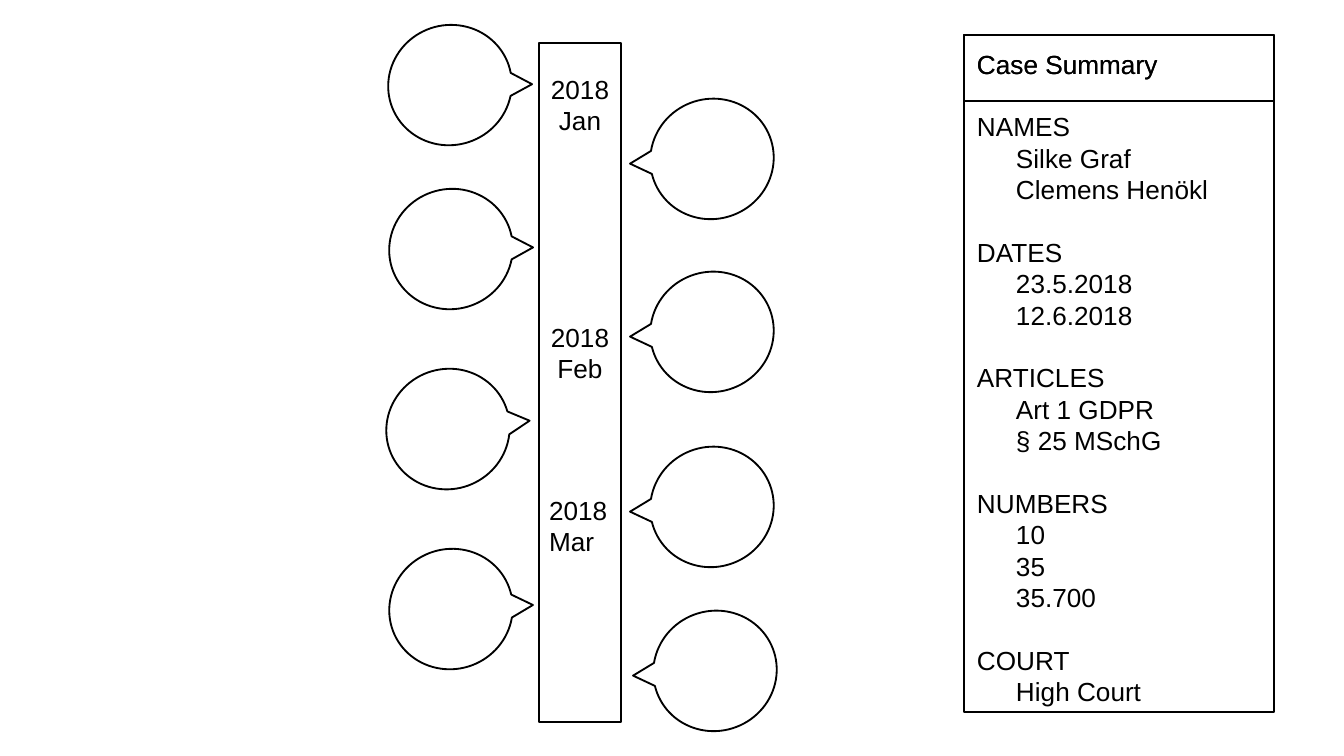
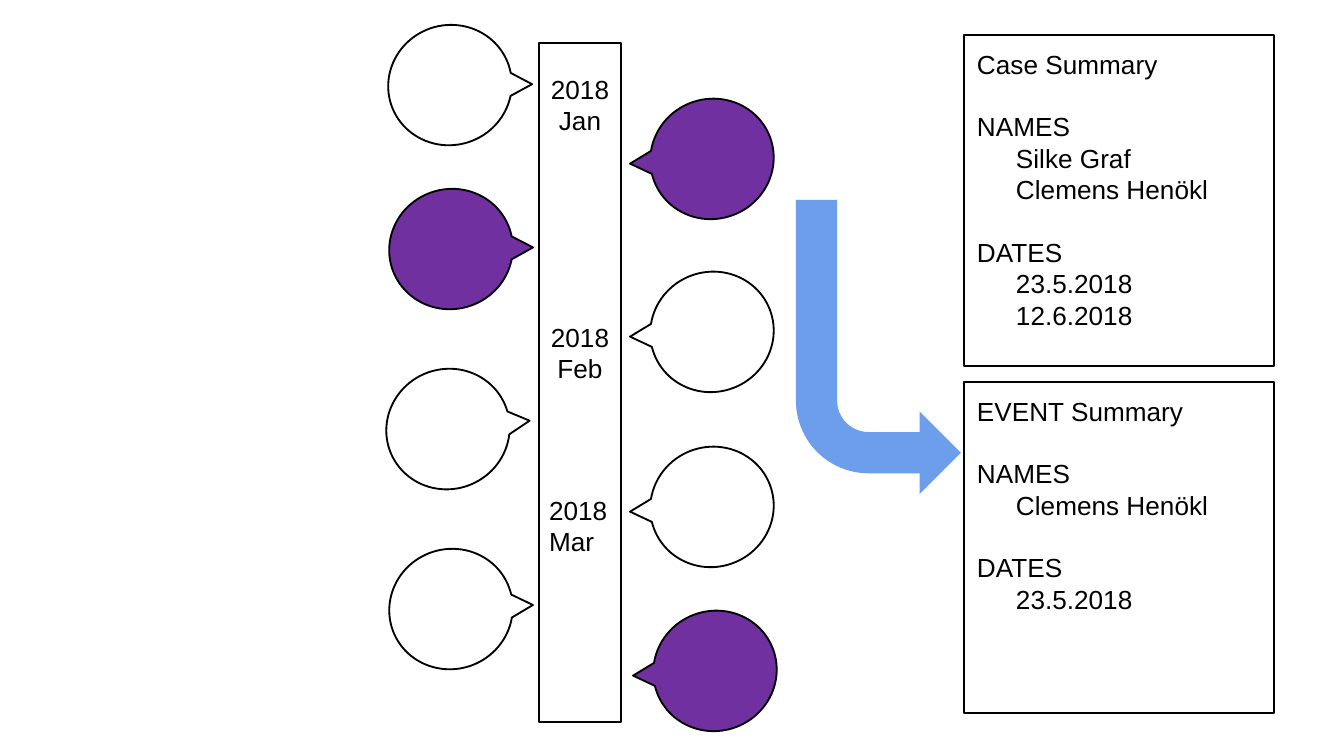
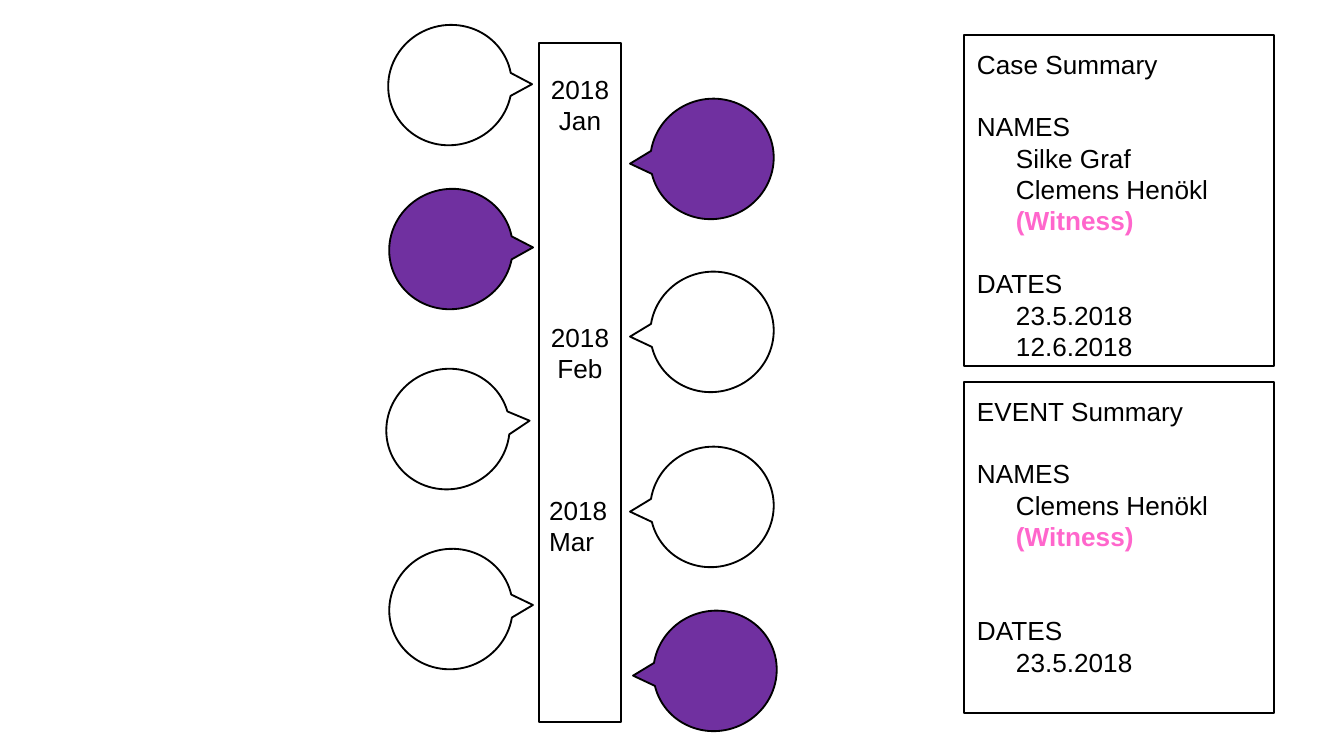
from pptx import Presentation
from pptx.dml.color import RGBColor
from pptx.enum.shapes import MSO_SHAPE
from pptx.enum.text import MSO_ANCHOR, PP_ALIGN
from pptx.util import Pt

PX = 914400 / 134.4
BLACK = RGBColor(0x00, 0x00, 0x00)
WHITE = RGBColor(0xFF, 0xFF, 0xFF)
PURPLE = RGBColor(0x70, 0x30, 0xA0)
BLUE = RGBColor(0x6D, 0x9E, 0xEB)
PINK = RGBColor(0xFF, 0x66, 0xCC)
FONT = "Arial"
TEXT_SIZE = Pt(14)
LINE_HEIGHT = 16.8
INSET, INDENT = 13, 39
CARD_LEFT, CARD_WIDTH = 964, 310
CARD_TOP, EVENT_TOP = 35, 382
HEADER_HEIGHT, HALF_HEIGHT, FULL_HEIGHT = 66, 331, 677

BUBBLES = [
    (652, 97, 68.8), (652, 270, 68.8),
    (391, 187, 251), (391, 547, 249.3), (388, 367, 246.3), (390, 23, 251.5),
    (652, 445, 68.8), (655, 609, 68.8),
]
MARKED_BUBBLES = {0, 2, 7}
MONTHS = [
    ("Mar", 536, 481, PP_ALIGN.LEFT),
    ("Feb", 535, 308, PP_ALIGN.CENTER),
    ("Jan", 535, 60, PP_ALIGN.CENTER),
]

SILKE = ("Silke Graf",)
CLEMENS = ("Clemens Henökl",)
WITNESS = ("Clemens Henökl ", "(Witness)")
DATES = [("23.5.2018",), ("12.6.2018",)]

SLIDES = [
    {
        "marked": set(), "arrow": False, "grouped": False,
        "cards": [
            ("Case Summary", CARD_TOP, HEADER_HEIGHT, []),
            ("Case Summary", CARD_TOP, FULL_HEIGHT, [
                ("NAMES", 1, [SILKE, CLEMENS]),
                ("DATES", 1, DATES),
                ("ARTICLES", 1, [("Art 1 GDPR",), ("§ 25 MSchG",)]),
                ("NUMBERS", 1, [("10",), ("35",), ("35.700",)]),
                ("COURT", 1, [("High Court",)]),
            ]),
        ],
    },
    {
        "marked": MARKED_BUBBLES, "arrow": True, "grouped": False,
        "cards": [
            ("Case Summary", CARD_TOP, HALF_HEIGHT, [
                ("NAMES", 1, [SILKE, CLEMENS]), ("DATES", 1, DATES)]),
            ("EVENT Summary", EVENT_TOP, HALF_HEIGHT, [
                ("NAMES", 1, [CLEMENS]), ("DATES", 1, DATES[:1])]),
        ],
    },
    {
        "marked": MARKED_BUBBLES, "arrow": False, "grouped": True,
        "cards": [
            ("Case Summary", CARD_TOP, HALF_HEIGHT, [
                ("NAMES", 1, [SILKE, WITNESS]), ("DATES", 1, DATES)]),
            ("EVENT Summary", EVENT_TOP, HALF_HEIGHT, [
                ("NAMES", 1, [WITNESS]), ("DATES", 2, DATES[:1])]),
        ],
    },
]


def add_figure(shapes, kind, box, fill, line_width):
    shape = shapes.add_shape(kind, *[round(length * PX) for length in box])
    shape.shadow.inherit = False
    if fill is None:
        shape.fill.background()
    else:
        shape.fill.solid()
        shape.fill.fore_color.rgb = fill
    if line_width is None:
        shape.line.fill.background()
    else:
        shape.line.color.rgb = BLACK
        shape.line.width = Pt(line_width)
    return shape


def format_text(text_frame, alignment):
    text_frame.word_wrap = True
    text_frame.vertical_anchor = MSO_ANCHOR.TOP
    text_frame.margin_left = text_frame.margin_right = round(INSET * PX)
    text_frame.margin_top = text_frame.margin_bottom = round(INSET * PX)
    for paragraph in text_frame.paragraphs:
        paragraph.alignment = alignment
        for run in paragraph.runs:
            run.font.name = FONT
            run.font.size = TEXT_SIZE
            run.font.color.rgb = BLACK


presentation = Presentation()
presentation.slide_width = round(1344 * PX)
presentation.slide_height = round(756 * PX)

for content in SLIDES:
    slide = presentation.slides.add_slide(presentation.slide_layouts[6])

    if content["arrow"]:
        arrow = add_figure(slide.shapes, MSO_SHAPE.BENT_ARROW, (796, 200, 165, 294), BLUE, None)
        for index, value in enumerate((0.25, 0.25, 0.25, 0.44)):
            arrow.adjustments[index] = value
        arrow.element.spPr.get_or_add_xfrm().set("flipV", "1")

    shapes = slide.shapes.add_group_shape().shapes if content["grouped"] else slide.shapes
    add_figure(shapes, MSO_SHAPE.RECTANGLE, (539, 43, 82, 679), WHITE, 1)

    for index, (left, top, rotation) in enumerate(BUBBLES):
        fill = PURPLE if index in content["marked"] else WHITE
        bubble = add_figure(shapes, MSO_SHAPE.OVAL_CALLOUT, (left, top, 120, 124), fill, 1)
        bubble.adjustments[0] = -0.21
        bubble.adjustments[1] = 0.63
        bubble.rotation = rotation

    for month, left, top, alignment in MONTHS:
        label = shapes.add_textbox(*[round(length * PX) for length in (left, top, 90, 81)])
        label.text_frame.text = f"2018\n{month}"
        format_text(label.text_frame, alignment)

    for title, top, height, sections in content["cards"]:
        box = (CARD_LEFT, top, CARD_WIDTH, height)
        card = add_figure(slide.shapes, MSO_SHAPE.RECTANGLE, box, None, 0.75)
        text_frame = card.text_frame
        text_frame.text = title
        roles = []
        for heading, gap_lines, entries in sections:
            paragraph = text_frame.add_paragraph()
            paragraph.text = heading
            paragraph.space_before = Pt(gap_lines * LINE_HEIGHT)
            for entry in entries:
                paragraph = text_frame.add_paragraph()
                paragraph.level = 1
                properties = paragraph._p.get_or_add_pPr()
                properties.set("marL", str(round(INDENT * PX)))
                properties.set("indent", "0")
                for part in entry:
                    paragraph.add_run().text = part
                roles.extend(paragraph.runs[1:])
        format_text(text_frame, PP_ALIGN.LEFT)
        for role in roles:
            role.font.bold = True
            role.font.color.rgb = PINK

presentation.save("out.pptx")
